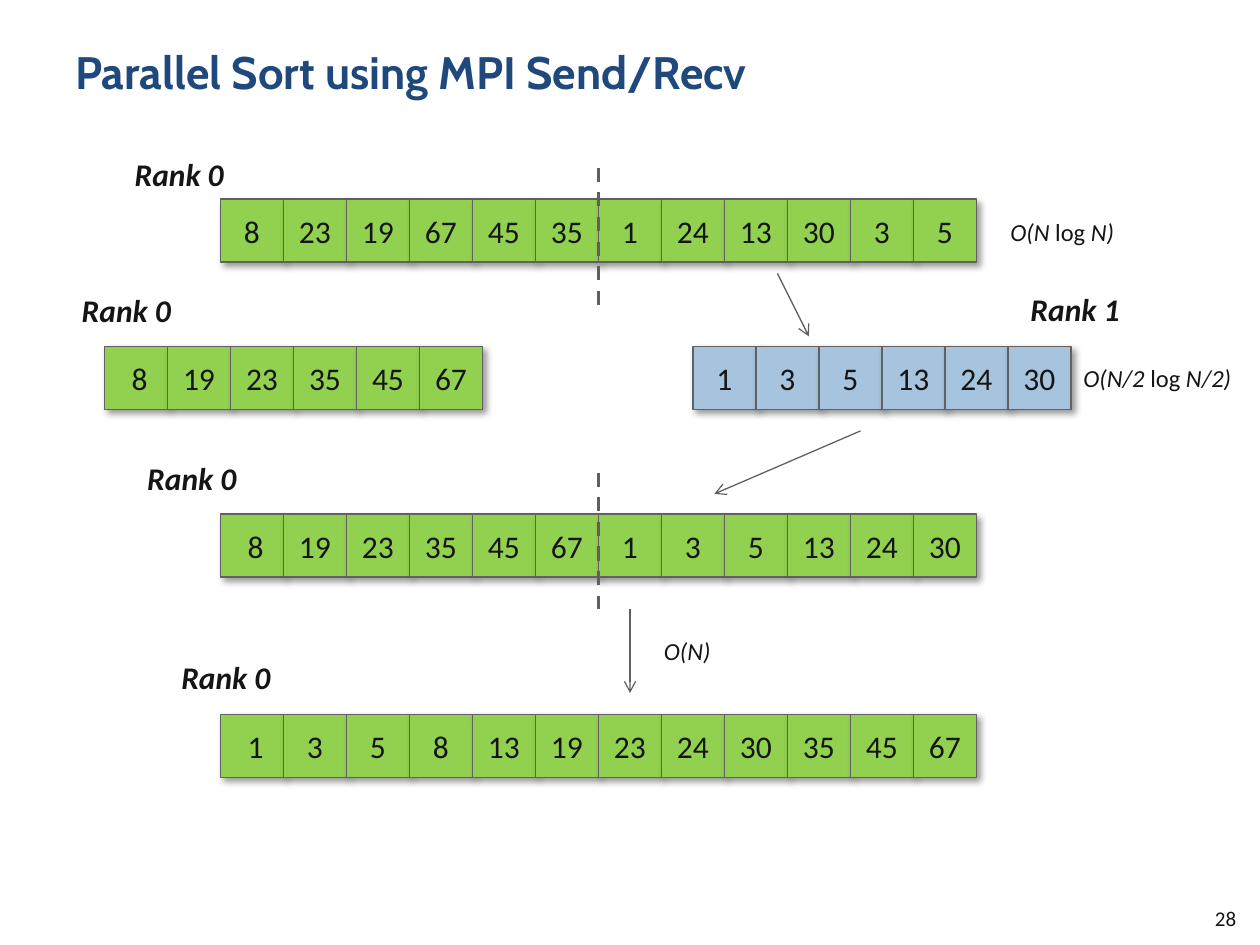
from dataclasses import dataclass

from lxml.etree import SubElement
from pptx import Presentation
from pptx.dml.color import RGBColor
from pptx.enum.dml import MSO_LINE_DASH_STYLE as Dash
from pptx.enum.shapes import MSO_CONNECTOR as Connector, MSO_SHAPE as Preset
from pptx.enum.text import MSO_ANCHOR as Anchor, MSO_AUTO_SIZE as AutoSize, PP_ALIGN as Align
from pptx.oxml import parse_xml
from pptx.oxml.ns import nsdecls, qn
from pptx.slide import Slide
from pptx.util import Inches, Pt

NAVY = RGBColor(0x1F, 0x49, 0x7D)
GREEN = RGBColor(0x92, 0xD0, 0x50)
BLUE = RGBColor(0xA6, 0xC4, 0xDE)
INK = RGBColor(0x15, 0x15, 0x15)
OUTLINE = RGBColor(0x61, 0x61, 0x61)
DIVIDER = RGBColor(0x5F, 0x5F, 0x5F)
CELL = 0.5

SHADOW_XML = (
    f'<a:effectLst {nsdecls("a")}>'
    f'<a:outerShdw blurRad="{Pt(4)}" dist="{Pt(3)}" dir="2700000" rotWithShape="0">'
    '<a:srgbClr val="000000"><a:alpha val="40000"/></a:srgbClr>'
    '</a:outerShdw></a:effectLst>'
)


@dataclass(frozen=True)
class Span:
    text: str
    size: int
    bold: bool = False
    italic: bool = False
    font: str = "Calibri"
    color: RGBColor = INK


@dataclass(frozen=True)
class Label:
    left: float
    top: float
    width: float
    height: float
    spans: tuple[Span, ...]
    wrap: bool = False
    anchor: Anchor = Anchor.TOP
    align: Align = Align.LEFT


@dataclass(frozen=True)
class Row:
    left: float
    top: float
    values: tuple[str, ...]
    fill: RGBColor = GREEN


@dataclass(frozen=True)
class Line:
    start: tuple[float, float]
    end: tuple[float, float]
    divider: bool = False


def rank(number: int, left: float, top: float) -> Label:
    return Label(left, top, 0.92, 0.4, (Span(f"Rank {number}", 18, bold=True, italic=True),))


def cost(left: float, top: float, width: float, *parts: str) -> Label:
    spans = tuple(Span(part, 14, italic=part != "log") for part in parts)
    return Label(left, top, width, 0.34, spans)


def add_span(para, span: Span) -> None:
    run = para.add_run()
    run.text = span.text
    run.font.name = span.font
    run.font.size = Pt(span.size)
    run.font.bold = span.bold
    run.font.italic = span.italic
    run.font.color.rgb = span.color


def draw_label(page: Slide, label: Label) -> None:
    box = page.shapes.add_textbox(
        Inches(label.left), Inches(label.top), Inches(label.width), Inches(label.height))
    frame = box.text_frame
    frame.word_wrap = label.wrap
    frame.auto_size = AutoSize.NONE if label.wrap else AutoSize.SHAPE_TO_FIT_TEXT
    frame.vertical_anchor = label.anchor
    para = frame.paragraphs[0]
    para.alignment = label.align
    for span in label.spans:
        add_span(para, span)


def draw_row(page: Slide, row: Row) -> None:
    for index, value in enumerate(row.values):
        cell = page.shapes.add_shape(
            Preset.RECTANGLE, Inches(row.left + index * CELL), Inches(row.top),
            Inches(CELL), Inches(CELL))
        cell.fill.solid()
        cell.fill.fore_color.rgb = row.fill
        cell.line.color.rgb = OUTLINE
        cell.line.width = Pt(0.75)
        cell._element.spPr.append(parse_xml(SHADOW_XML))
        cell.text_frame.vertical_anchor = Anchor.MIDDLE
        para = cell.text_frame.paragraphs[0]
        para.alignment = Align.CENTER
        add_span(para, Span(value, 18))


def draw_line(page: Slide, line: Line) -> None:
    connector = page.shapes.add_connector(
        Connector.STRAIGHT, *(Inches(value) for value in line.start + line.end))
    connector.line.color.rgb = DIVIDER if line.divider else OUTLINE
    connector.line.width = Pt(2 if line.divider else 0.75)
    properties = connector._element.spPr
    if line.divider:
        connector.line.dash_style = Dash.DASH
    else:
        SubElement(properties.find(qn("a:ln")), qn("a:tailEnd"), type="arrow")
    SubElement(properties, qn("a:effectLst"))


# Number arrays at each stage of the sort
ROWS = (
    Row(1.75, 1.58, ("8", "23", "19", "67", "45", "35", "1", "24", "13", "30", "3", "5")),
    Row(0.83, 2.75, (" 8", "19", "23", "35", "45", "67")),
    Row(5.5, 2.75, ("1", "3", "5", "13", "24", "30"), BLUE),
    Row(1.75, 4.08, (" 8", "19", "23", "35", "45", "67", "1", "3", "5", "13", "24", "30")),
    Row(1.75, 5.67, (" 1", "3", "5", "8", "13", "19", "23", "24", "30", "35", "45", "67")),
)

# Dashed dividers and message arrows
LINES = (
    Line((4.75, 1.33), (4.75, 2.42), divider=True),
    Line((4.75, 3.75), (4.75, 4.83), divider=True),
    Line((6.17, 2.17), (6.42, 2.67)),
    Line((6.83, 3.42), (5.67, 3.92)),
    Line((5, 4.83), (5, 5.5)),
)

# Title, ranks, costs and page number
LABELS = (
    Label(0.5, 0.3, 9, 0.87,
          (Span("Parallel Sort using MPI Send/Recv", 26, bold=True, font="Cabin", color=NAVY),),
          wrap=True),
    rank(0, 0.97, 1.18),
    rank(0, 0.55, 2.26),
    rank(1, 8.08, 2.25),
    rank(0, 1.07, 3.59),
    rank(0, 1.34, 5.17),
    cost(7.92, 1.67, 1.03, "O(N ", "log", " N)"),
    cost(8.5, 2.83, 1.43, "O(N/2 ", "log", " N/2)"),
    cost(5.17, 5, 0.58, "O(N)"),
    Label(8.83, 7.15, 1.08, 0.27, (Span("28", 12),),
          wrap=True, anchor=Anchor.MIDDLE, align=Align.RIGHT),
)


def main() -> None:
    deck = Presentation()
    deck.slide_width, deck.slide_height = Inches(10), Inches(7.5)
    page = deck.slides.add_slide(deck.slide_layouts[6])
    for row in ROWS:
        draw_row(page, row)
    for line in LINES:
        draw_line(page, line)
    for label in LABELS:
        draw_label(page, label)
    deck.save("out.pptx")


if __name__ == "__main__":
    main()
